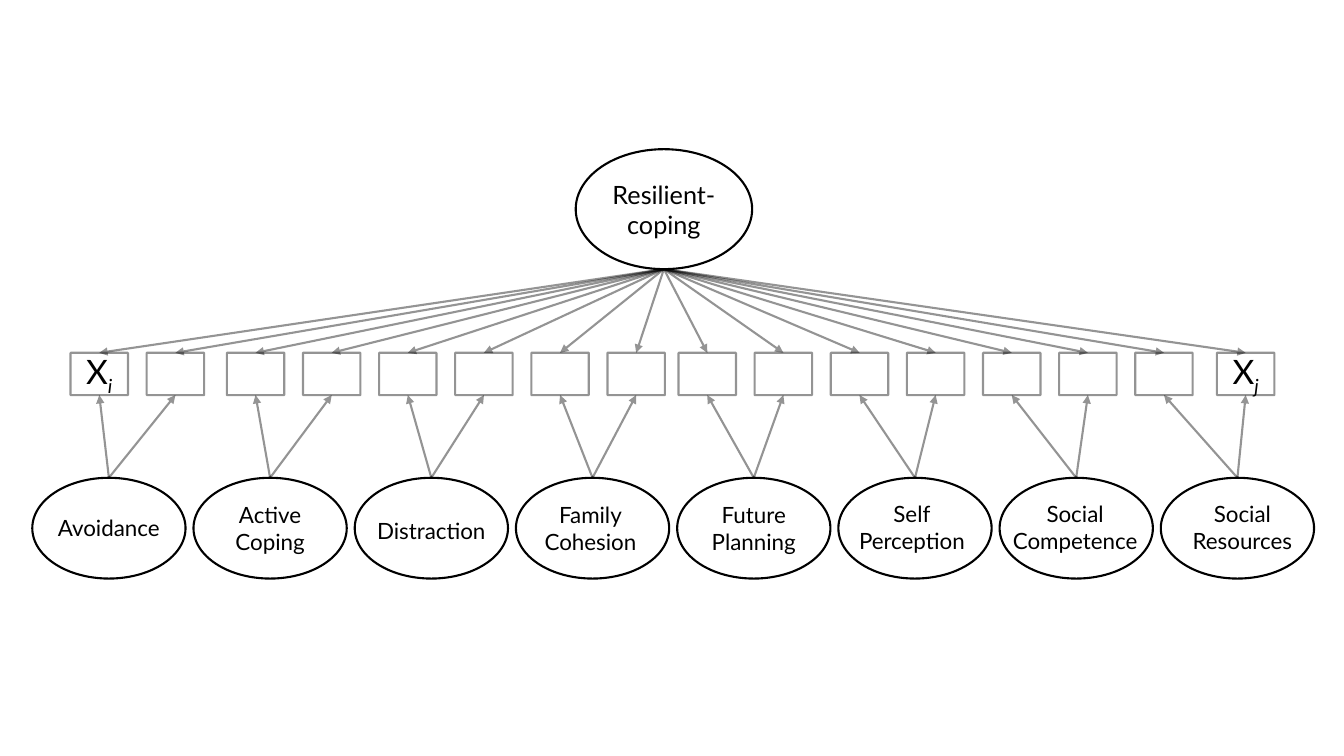
from lxml.etree import SubElement
from pptx import Presentation
from pptx.dml.color import RGBColor
from pptx.enum.shapes import MSO_CONNECTOR, MSO_SHAPE
from pptx.enum.text import MSO_ANCHOR, MSO_AUTO_SIZE, PP_ALIGN
from pptx.oxml.ns import qn
from pptx.util import Pt

PX = 9144
BLACK = RGBColor(0, 0, 0)
FONT = "Lato"
TOP, BOTTOM = 0, 2
GROUPS = [(0, 2), (155, 6), (603, 7), (1137, 1)]
FACTORS = [
    ("Avoidance", (3, 31)),
    ("Active Coping", None),
    ("Distraction", (3, 34)),
    ("Family\nCohesion", (1, 18)),
    ("Future Planning", None),
    ("Self\nPerception", (0, 17)),
    ("Social\nCompetence", (2, 17)),
    ("Social\nResources", (8, 17)),
]


def scale(*box):
    return [round(n * PX) for n in box]


def stroke(line, faint):
    line.color.rgb = BLACK
    line.width = Pt(1.5)
    if faint:
        color = line._get_or_add_ln().find(".//" + qn("a:srgbClr"))
        SubElement(color, qn("a:alpha"), val="42000")


def write(shape, text, size):
    frame = shape.text_frame
    frame.word_wrap = True
    frame.text = text
    for para in frame.paragraphs:
        para.alignment = PP_ALIGN.CENTER
        for run in para.runs:
            run.font.name = FONT
            run.font.size = Pt(size)
            run.font.color.rgb = BLACK


def outline(slide, kind, box, faint=False):
    shape = slide.shapes.add_shape(kind, *scale(*box))
    shape.shadow.inherit = False
    shape.fill.background()
    stroke(shape.line, faint)
    shape.text_frame.vertical_anchor = MSO_ANCHOR.MIDDLE
    return shape


def arrow(slide, start, item, side):
    link = slide.shapes.add_connector(MSO_CONNECTOR.STRAIGHT, *start, *start)
    link.end_connect(item, side)
    stroke(link.line, True)
    SubElement(link.line._get_or_add_ln(), qn("a:tailEnd"), type="triangle")
    SubElement(link._element.spPr, qn("a:effectLst"))
    return link


def add_root(slide, box):
    root = outline(slide, MSO_SHAPE.OVAL, box)
    write(root, "Resilient- coping", 18)
    return root


def mark(item, index):
    write(item, "X", 24)
    run = item.text_frame.paragraphs[0].add_run()
    run.text = index
    run.font.name = FONT
    run.font.size = Pt(24)
    run.font.color.rgb = BLACK
    run.font.italic = True
    run._r.get_or_add_rPr().set("baseline", "-25000")


def add_items(slide, left, top, width, height):
    items = [
        outline(slide, MSO_SHAPE.RECTANGLE,
                (left + start + 75.5 * k, top, width, height), True)
        for start, count in GROUPS for k in range(count)
    ]
    mark(items[0], "i")
    mark(items[-1], "j")
    return items


def add_label(slide, text, left, top):
    height = 64 if "\n" in text else 37
    label = slide.shapes.add_textbox(*scale(left, top, 146, height))
    write(label, text, 16)
    label.text_frame.auto_size = MSO_AUTO_SIZE.SHAPE_TO_FIT_TEXT


def add_factors(slide, left, top, width, height):
    ovals = []
    for k, (text, shift) in enumerate(FACTORS):
        x = left + 159.9 * k
        oval = outline(slide, MSO_SHAPE.OVAL, (x, top, width, height))
        if shift:
            add_label(slide, text, x + shift[0], top + shift[1])
        else:
            write(oval, text, 16)
        ovals.append(oval)
    return ovals


def add_links(slide, root, items, ovals):
    foot = (root.left + root.width // 2, root.top + root.height)
    for item in items:
        arrow(slide, foot, item, TOP)
    for k, item in enumerate(items):
        oval = ovals[k // 2]
        peak = (oval.left + oval.width // 2, oval.top)
        arrow(slide, peak, item, BOTTOM).begin_connect(oval, TOP)


def main():
    deck = Presentation()
    deck.slide_width, deck.slide_height = scale(1333, 750)
    slide = deck.slides.add_slide(deck.slide_layouts[6])
    ovals = add_factors(slide, 32, 474, 152, 100)
    items = add_items(slide, 70, 350, 57, 42)
    root = add_root(slide, (571, 148, 175, 119))
    add_links(slide, root, items, ovals)
    deck.save("out.pptx")


if __name__ == "__main__":
    main()
